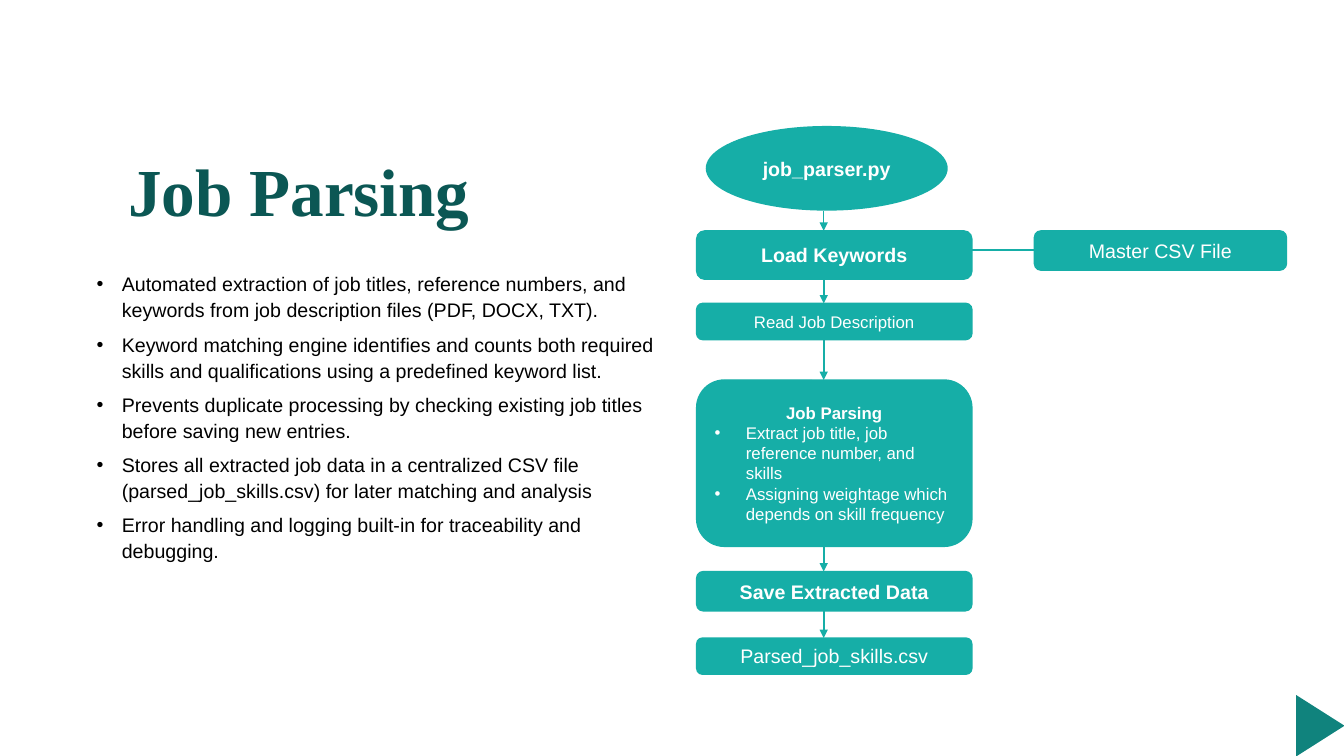
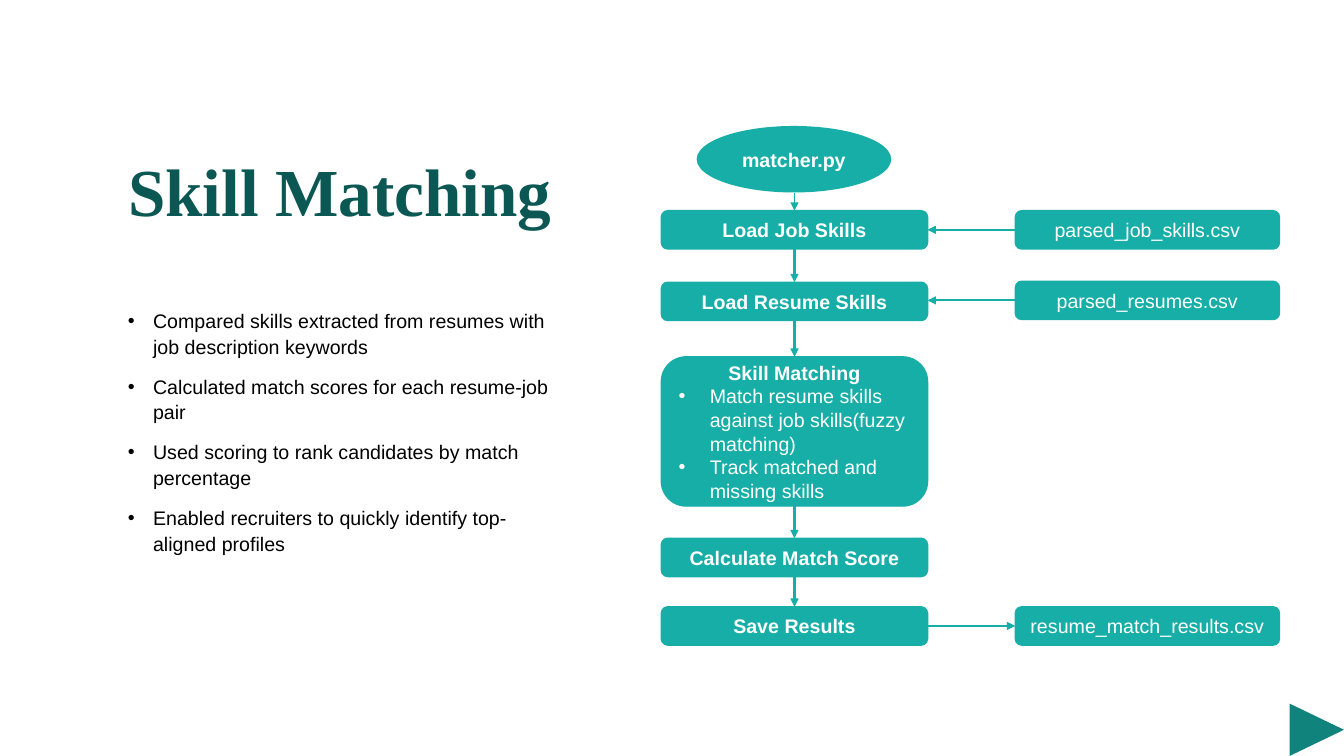
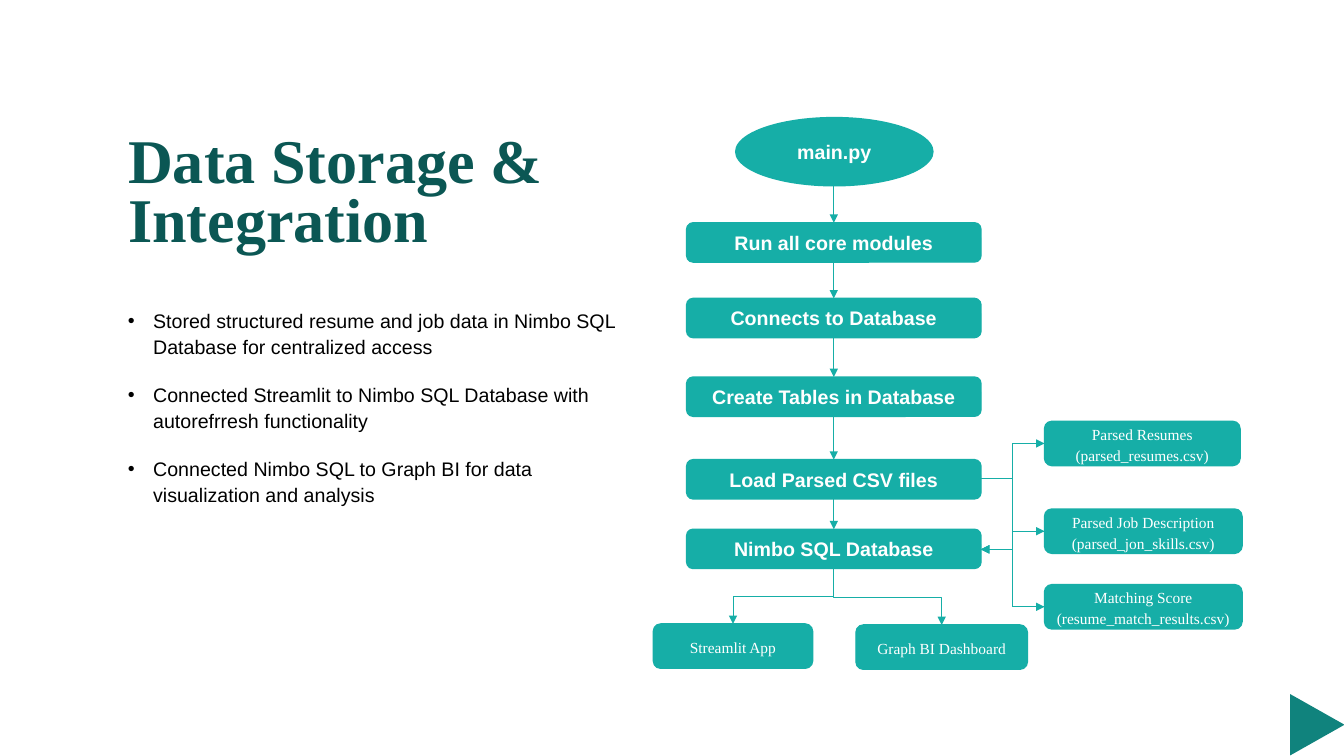
from pptx import Presentation
from pptx.dml.color import RGBColor
from pptx.enum.shapes import MSO_CONNECTOR as Connector, MSO_SHAPE as Shape
from pptx.enum.text import MSO_ANCHOR as Anchor, MSO_AUTO_SIZE as AutoSize, PP_ALIGN as Align
from pptx.oxml.ns import qn
from pptx.util import Inches, Pt
from lxml.etree import SubElement

TITLE_ONLY = 5


def color(hex_text):
    return RGBColor.from_string(hex_text)


class Deck:
    """Holds the shared style and the slide being built."""

    TEAL, DEEP, DARK = "16AEA7", "10837D", "0B5754"
    WHITE, BLACK = "FFFFFF", "000000"
    SANS, SERIF = "Arial", "Times New Roman"

    def __init__(self):
        self.presentation = Presentation()
        self.presentation.slide_width = Inches(13.33)
        self.presentation.slide_height = Inches(7.5)
        self.slide = None

    def new_slide(self, title, size=48, spacing=0.9):
        layout = self.presentation.slide_layouts[TITLE_ONLY]
        self.slide = self.presentation.slides.add_slide(layout)
        shape = self.slide.shapes.title
        shape.left, shape.top = Inches(1.17), Inches(1.25)
        shape.width, shape.height = Inches(6.31), Inches(1.37)
        frame = shape.text_frame
        frame.text = title
        frame.word_wrap = True
        frame.auto_size = AutoSize.NONE
        frame.vertical_anchor = Anchor.MIDDLE
        paragraph = frame.paragraphs[0]
        paragraph.alignment = Align.LEFT
        paragraph.line_spacing = spacing
        self.style(paragraph, size, self.DARK, bold=True, name=self.SERIF)

    def style(self, paragraph, size, hex_text, bold=False, name=SANS):
        font = paragraph.font
        font.name, font.size, font.bold = name, Pt(size), bold
        font.color.rgb = color(hex_text)

    def bullet(self, paragraph, indent):
        properties = paragraph._p.get_or_add_pPr()
        properties.set("marL", str(Inches(indent)))
        properties.set("indent", str(-Inches(indent)))
        SubElement(properties, qn("a:buFont")).set("typeface", self.SANS)
        SubElement(properties, qn("a:buChar")).set("char", "•")
        paragraph.alignment = Align.LEFT

    def fill_paragraphs(self, frame, lines):
        """Write one line per paragraph and yield each paragraph."""
        frame.word_wrap = True
        for index, line in enumerate(lines):
            paragraph = frame.add_paragraph() if index else frame.paragraphs[0]
            paragraph.text = line
            yield paragraph

    def body(self, lines, left, top, width, height, gap):
        box = self.slide.shapes.add_textbox(
            Inches(left), Inches(top), Inches(width), Inches(height))
        for paragraph in self.fill_paragraphs(box.text_frame, lines):
            self.bullet(paragraph, 0.25)
            paragraph.line_spacing = 1.1
            paragraph.space_after = Pt(gap)
            self.style(paragraph, 14, self.BLACK)

    def shape(self, kind, left, top, width, height, fill=TEAL):
        shape = self.slide.shapes.add_shape(
            kind, Inches(left), Inches(top), Inches(width), Inches(height))
        shape.shadow.inherit = False
        shape.fill.solid()
        shape.fill.fore_color.rgb = color(fill)
        shape.line.fill.background()
        return shape

    def corner(self, left, top, width, height):
        self.shape(Shape.ISOSCELES_TRIANGLE, left, top, width, height, self.DEEP).rotation = 90

    def node(self, lines, left, top, width, height, kind=Shape.ROUNDED_RECTANGLE,
             size=14, bold=True, bullets=(), name=SANS, spacing=None):
        shape = self.shape(kind, left, top, width, height)
        if kind == Shape.ROUNDED_RECTANGLE:
            shape.line.color.rgb = color(self.TEAL)
            shape.line.width = Pt(1)
        frame = shape.text_frame
        frame.vertical_anchor = Anchor.MIDDLE
        headings = lines.split("\n")
        for index, paragraph in enumerate(self.fill_paragraphs(frame, [*headings, *bullets])):
            is_heading = index < len(headings)
            if is_heading:
                paragraph.alignment = Align.CENTER
            else:
                self.bullet(paragraph, 0.31)
            if spacing:
                paragraph.line_spacing = spacing
            self.style(paragraph, size, self.WHITE, bold and is_heading, name)

    def file_node(self, text, left, top, width, height=0.38):
        self.node(text, left, top, width, height, bold=False)

    def note(self, text, left, top, width):
        self.node(text, left, top, width, 0.44, size=11, bold=False,
                  name=self.SERIF, spacing=1.15)

    def arrow(self, x1, y1, x2, y2, weight=1.5, kind=Connector.STRAIGHT):
        connector = self.slide.shapes.add_connector(
            kind, Inches(x1), Inches(y1), Inches(x2), Inches(y2))
        connector.line.color.rgb = color(self.TEAL)
        connector.line.width = Pt(weight)
        SubElement(connector.line._get_or_add_ln(), qn("a:tailEnd")).set("type", "triangle")
        SubElement(connector._element.spPr, qn("a:effectLst"))
        return connector

    def elbow(self, x1, y1, x2, y2):
        """Leave sideways, turn halfway, arrive sideways."""
        self.arrow(x1, y1, x2, y2, 0.5, Connector.ELBOW)

    def drop(self, x1, y1, x2, y2):
        """Leave downwards: an elbow laid on its side, then turned 90 degrees."""
        middle_x, middle_y = (x1 + x2) / 2, (y1 + y2) / 2
        half_run, half_drop = (x2 - x1) / 2, (y2 - y1) / 2
        connector = self.arrow(middle_x - half_drop, middle_y + half_run,
                               middle_x + half_drop, middle_y - half_run,
                               0.5, Connector.ELBOW)
        connector._element.spPr.find(qn("a:xfrm")).set("rot", str(90 * 60000))

    def flow(self, start, rows, left, width, axis, weight=1.5):
        """Draw an ellipse, the boxes below it and an arrow into each box."""
        text, ellipse_left, top, ellipse_width, height = start
        self.node(text, ellipse_left, top, ellipse_width, height, Shape.OVAL)
        bottom, line_weight = top + height, 0.5
        for text, top, height, options in rows:
            self.node(text, left, top, width, height, **options)
            self.arrow(axis, bottom, axis, top, line_weight)
            bottom, line_weight = top + height, weight


def job_parsing(deck):
    deck.new_slide("Job Parsing")
    deck.body([
        "Automated extraction of job titles, reference numbers, and keywords from job "
        "description files (PDF, DOCX, TXT).",
        "Keyword matching engine identifies and counts both required skills and "
        "qualifications using a predefined keyword list.",
        "Prevents duplicate processing by checking existing job titles before saving new entries.",
        "Stores all extracted job data in a centralized CSV file (parsed_job_skills.csv) "
        "for later matching and analysis",
        "Error handling and logging built-in for traceability and debugging.",
    ], 0.86, 2.63, 5.8, 3.77, gap=6)
    deck.corner(12.79, 6.96, 0.61, 0.48)

    # Flow chart
    steps = ["Extract job title, job reference number, and skills",
             "Assigning weightage which depends on skill frequency"]
    deck.flow(("job_parser.py", 7, 1.25, 2.4, 0.84), [
        ("Load Keywords", 2.29, 0.48, {}),
        ("Read Job Description", 3.01, 0.36, {"size": 12, "bold": False}),
        ("Job Parsing", 3.77, 1.65, {"size": 12, "bullets": steps}),
        ("Save Extracted Data", 5.67, 0.39, {}),
        ("Parsed_job_skills.csv", 6.33, 0.36, {"bold": False}),
    ], left=6.91, width=2.73, axis=8.17)
    deck.file_node("Master CSV File", 10.26, 2.29, 2.5, 0.39)
    deck.arrow(10.26, 2.48, 9.43, 2.48)


def skill_matching(deck):
    deck.new_slide("Skill Matching")
    deck.body([
        "Compared skills extracted from resumes with job description keywords",
        "Calculated match scores for each resume-job pair",
        "Used scoring to rank candidates by match percentage",
        "Enabled recruiters to quickly identify top-aligned profiles",
    ], 1.17, 2.99, 4.56, 2.62, gap=10)
    deck.corner(12.8, 6.97, 0.52, 0.54)

    # Flow chart
    steps = ["Match resume skills against job skills(fuzzy matching)",
             "Track matched and missing skills"]
    deck.flow(("matcher.py", 6.91, 1.25, 1.93, 0.66), [
        ("Load Job Skills", 2.09, 0.38, {}),
        ("Load Resume Skills", 2.8, 0.38, {}),
        ("Skill Matching", 3.54, 1.48, {"bullets": steps}),
        ("Calculate Match Score", 5.34, 0.38, {}),
        ("Save Results", 6.02, 0.38, {}),
    ], left=6.56, width=2.64, axis=7.88)

    # Files read and written
    flow_right, file_left = 9.2, 10.07
    for text, top, is_input in [("parsed_job_skills.csv", 2.09, True),
                                ("parsed_resumes.csv", 2.79, True),
                                ("resume_match_results.csv", 6.02, False)]:
        deck.file_node(text, file_left, top, 2.62)
        start, end = (file_left, flow_right) if is_input else (flow_right, file_left)
        deck.arrow(start, top + 0.19, end, top + 0.19)


def data_storage(deck):
    deck.new_slide("Data Storage & Integration", size=44.4, spacing=0.8)
    deck.body([
        "Stored structured resume and job data in Nimbo SQL Database for centralized access",
        "Connected Streamlit to Nimbo SQL Database with autorefrresh functionality",
        "Connected Nimbo SQL to Graph BI for data visualization and analysis",
    ], 1.17, 2.99, 5.12, 3.26, gap=16)
    deck.corner(12.76, 6.92, 0.61, 0.54)

    # Flow chart
    axis = 8.27
    deck.flow(("main.py", 7.29, 1.16, 1.97, 0.69), [
        (text, top, 0.39, {}) for text, top in [
            ("Run all core modules", 2.21),
            ("Connects to Database", 2.96),
            ("Create Tables in Database", 3.74),
            ("Load Parsed CSV files", 4.56),
            ("Nimbo SQL Database", 5.25),
        ]
    ], left=6.81, width=2.92, axis=axis, weight=0.5)

    # Parsed files, between the loading step and the database
    flow_right, file_left = 9.73, 10.36
    load_y, database_y = 4.75, 5.45
    for text, top, width in [("Parsed Resumes\n(parsed_resumes.csv)", 4.18, 1.94),
                             ("Parsed Job Description\n(parsed_jon_skills.csv)", 5.05, 1.96),
                             ("Matching Score\n(resume_match_results.csv)", 5.8, 1.96)]:
        file_y = top + 0.22
        deck.note(text, file_left, top, width)
        deck.elbow(flow_right, load_y, file_left, file_y)
        deck.elbow(file_left, file_y, flow_right, database_y)

    # Applications fed by the database
    for text, left, top, width in [("Streamlit App", 6.48, 6.19, 1.58),
                                   ("Graph BI Dashboard", 8.49, 6.2, 1.7)]:
        deck.note(text, left, top, width)
        deck.drop(axis, 5.65, left + width / 2, top)


def main():
    deck = Deck()
    job_parsing(deck)
    skill_matching(deck)
    data_storage(deck)
    deck.presentation.save("out.pptx")


if __name__ == "__main__":
    main()
